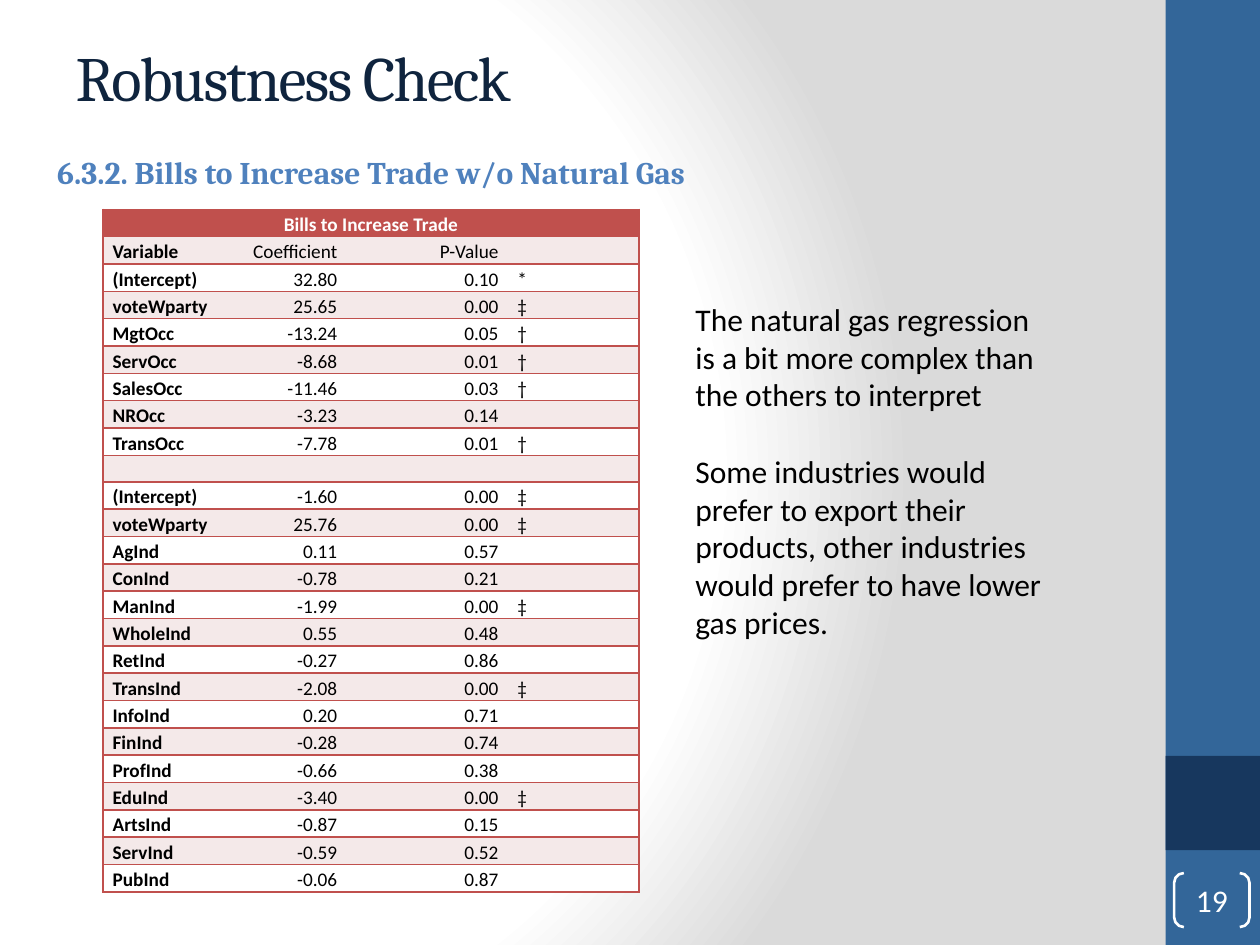
import pptx
import pptx.util
import pptx.dml.color
import pptx.enum.shapes
import pptx.enum.text
import pptx.oxml
import pptx.oxml.ns

Cm, Pt = pptx.util.Cm, pptx.util.Pt
ALIGN = pptx.enum.text.PP_ALIGN
ANCHOR = pptx.enum.text.MSO_ANCHOR
SHAPES = pptx.enum.shapes.MSO_SHAPE

COLORS = {
    "white": "FFFFFF", "grey": "DADADA", "black": "000000",
    "sidebar": "336699", "navy": "17375E", "title": "0F243E",
    "heading": "4F81BD", "red": "C0504D", "band": "F4E9E9",
}
NO_TABLE_STYLE = "{2D5ABB26-0587-4C30-8999-92F81FD0307C}"

# Variable, coefficient, p-value, significance mark
ROWS = [
    ("Variable", "Coefficient", "P-Value", ""),
    ("(Intercept)", "32.80", "0.10", "*"),
    ("voteWparty", "25.65", "0.00", "‡"),
    ("MgtOcc", "-13.24", "0.05", "†"),
    ("ServOcc", "-8.68", "0.01", "†"),
    ("SalesOcc", "-11.46", "0.03", "†"),
    ("NROcc", "-3.23", "0.14", ""),
    ("TransOcc", "-7.78", "0.01", "†"),
    ("", "", "", ""),
    ("(Intercept)", "-1.60", "0.00", "‡"),
    ("voteWparty", "25.76", "0.00", "‡"),
    ("AgInd", "0.11", "0.57", ""),
    ("ConInd", "-0.78", "0.21", ""),
    ("ManInd", "-1.99", "0.00", "‡"),
    ("WholeInd", "0.55", "0.48", ""),
    ("RetInd", "-0.27", "0.86", ""),
    ("TransInd", "-2.08", "0.00", "‡"),
    ("InfoInd", "0.20", "0.71", ""),
    ("FinInd", "-0.28", "0.74", ""),
    ("ProfInd", "-0.66", "0.38", ""),
    ("EduInd", "-3.40", "0.00", "‡"),
    ("ArtsInd", "-0.87", "0.15", ""),
    ("ServInd", "-0.59", "0.52", ""),
    ("PubInd", "-0.06", "0.87", ""),
]


def rgb(name):
    return pptx.dml.color.RGBColor.from_string(COLORS[name])


def xml(tag, inner, attributes=""):
    namespace = pptx.oxml.ns.nsdecls("a")
    return pptx.oxml.parse_xml(f"<a:{tag} {namespace} {attributes}>{inner}</a:{tag}>")


class SlideBuilder:
    heading_font = "Cambria"
    body_font = "Calibri"

    def __init__(self, slide):
        self.slide = slide

    def style(self, paragraph, size, color, font=None, bold=False, align=ALIGN.LEFT):
        paragraph.alignment = align
        paragraph.font.name = font or self.body_font
        paragraph.font.size = Pt(size)
        paragraph.font.bold = bold
        paragraph.font.color.rgb = rgb(color)

    def background(self):
        self.slide.background.fill.solid()
        properties = self.slide.element.find(".//" + pptx.oxml.ns.qn("p:bgPr"))
        stops = "".join(
            f'<a:gs pos="{position * 1000}"><a:srgbClr val="{COLORS[color]}"/></a:gs>'
            for position, color in [(0, "white"), (75, "white"), (100, "grey")])
        center = '<a:fillToRect l="20000" t="50000" r="100000" b="50000"/>'
        gradient = xml("gradFill", f'<a:gsLst>{stops}</a:gsLst>'
                       f'<a:path path="circle">{center}</a:path>', 'rotWithShape="1"')
        properties.replace(properties[0], gradient)

    def title(self, text, left, top, width, height):
        shape = self.slide.shapes.title
        shape.left, shape.top, shape.width, shape.height = map(Cm, (left, top, width, height))
        frame = shape.text_frame
        frame.text = text
        frame.vertical_anchor = ANCHOR.MIDDLE
        paragraph = frame.paragraphs[0]
        self.style(paragraph, 36, "title", self.heading_font)
        paragraph.runs[0].font._element.set("spc", "-100")

    def shape(self, kind, left, top, width, height, fill=None):
        shape = self.slide.shapes.add_shape(kind, *map(Cm, (left, top, width, height)))
        shape.shadow.inherit = False
        shape.line.fill.background()
        if fill:
            shape.fill.solid()
            shape.fill.fore_color.rgb = rgb(fill)
        else:
            shape.fill.background()
        return shape

    def slide_number(self, text, left, top, width, height):
        shape = self.shape(SHAPES.DOUBLE_BRACKET, left, top, width, height)
        shape.adjustments[0] = 0.18
        shape.line.color.rgb = rgb("white")
        shape.line.width = Pt(1.5)
        frame = shape.text_frame
        frame.margin_left = frame.margin_right = frame.margin_top = frame.margin_bottom = 0
        frame.vertical_anchor = ANCHOR.MIDDLE
        frame.text = text
        self.style(frame.paragraphs[0], 18, "white", align=ALIGN.CENTER)

    def text(self, paragraphs, left, top, width, height, wrap=True, gap=0, **style):
        box = self.slide.shapes.add_textbox(*map(Cm, (left, top, width, height)))
        frame = box.text_frame
        frame.word_wrap = wrap
        frame.auto_size = pptx.enum.text.MSO_AUTO_SIZE.SHAPE_TO_FIT_TEXT
        frame.text = "\n".join(paragraphs)
        for paragraph in frame.paragraphs:
            self.style(paragraph, 18, **style)
        for paragraph in frame.paragraphs[1:]:
            paragraph.space_before = Pt(gap)
        return frame

    def cell(self, cell, text, fill, sides, **style):
        cell.margin_left = cell.margin_right = Cm(0.19)
        cell.margin_top = cell.margin_bottom = 0
        cell.fill.solid()
        cell.fill.fore_color.rgb = rgb(fill)
        cell.text = text
        paragraph = cell.text_frame.paragraphs[0]
        paragraph.line_spacing = 1.15
        self.style(paragraph, 11, **style)
        if not text:
            paragraph._p.append(xml("endParaRPr", "", 'sz="1100"'))
        properties = cell._tc.get_or_add_tcPr()
        line = f'<a:solidFill><a:srgbClr val="{COLORS["red"]}"/></a:solidFill>'
        for index, side in enumerate(sides):
            properties.insert(index, xml("ln" + side, line, 'w="12700"'))

    def table(self, heading, rows, left, top, widths, height):
        columns = len(widths)
        frame = self.slide.shapes.add_table(
            len(rows) + 1, columns, *map(Cm, (left, top, sum(widths), height)))
        table = frame.table
        table.first_row = table.horz_banding = False
        table._tbl.tblPr.find(pptx.oxml.ns.qn("a:tableStyleId")).text = NO_TABLE_STYLE
        for column, width in zip(table.columns, widths):
            column.width = Cm(width)
        # Lines run between rows and around the outside only
        sides = ["LTB"] + ["TB"] * (columns - 2) + ["RTB"]
        for index in range(columns):
            self.cell(table.cell(0, index), "" if index else heading, "red",
                      "TB" if index else "LRTB",
                      color="white", bold=True, align=ALIGN.CENTER)
        table.cell(0, 0).merge(table.cell(0, columns - 1))
        for row_index, row in enumerate(rows, 1):
            for index, text in enumerate(row):
                self.cell(table.cell(row_index, index), text,
                          "band" if row_index % 2 else "white", sides[index],
                          color="black", bold=index == 0,
                          align=ALIGN.RIGHT if index in (1, 2) else ALIGN.LEFT)


presentation = pptx.Presentation()
presentation.slide_width, presentation.slide_height = Cm(25.4), Cm(19.05)
builder = SlideBuilder(presentation.slides.add_slide(presentation.slide_layouts[5]))

# Background and sidebar
builder.background()
builder.shape(SHAPES.RECTANGLE, 23.5, 0, 1.9, 19.05, "sidebar")
builder.shape(SHAPES.RECTANGLE, 23.5, 15.24, 1.9, 1.9, "navy")
builder.slide_number("19", 23.67, 17.6, 1.52, 1.09)

# Title and regression table
builder.title("Robustness Check", 1.27, 0.76, 22.43, 1.57)
builder.table("Bills to Increase Trade", ROWS, 2.08, 4.22, [2.57, 2.34, 3.25, 2.64], 13.39)

# Commentary and section heading
builder.text(
    ["The natural gas regression is a bit more complex than the others to interpret",
     "Some industries would prefer to export their products, other industries "
     "would prefer to have lower gas prices."],
    13.77, 5.92, 7.62, 7.19, gap=22, color="black")
section = builder.text(
    ["6.3.2. Bills to Increase Trade w/o Natural Gas"], 0.64, 2.84, 13.69, 1.07,
    wrap=False, color="heading", font=builder.heading_font, bold=True, align=ALIGN.CENTER)
section.paragraphs[0].line_spacing = 1.15
section.paragraphs[0].space_before = Pt(10)

presentation.save("out.pptx")
